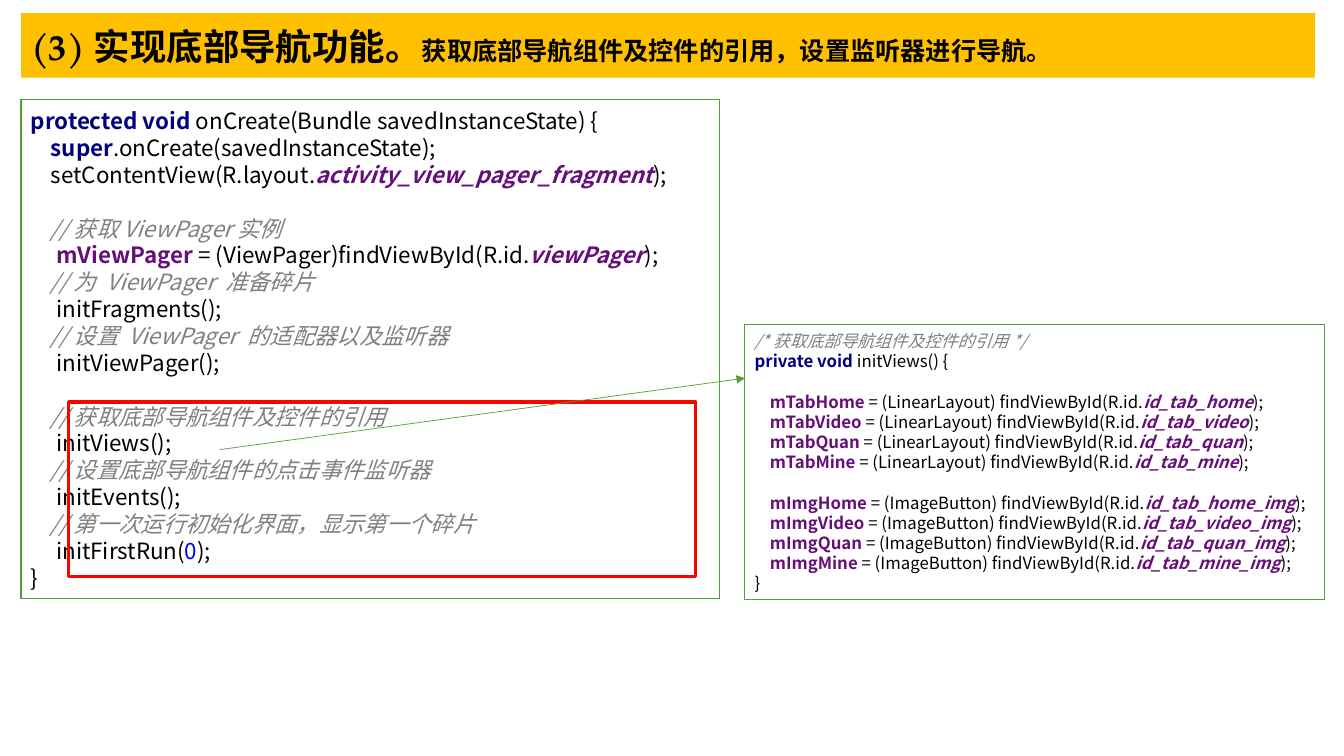
from dataclasses import dataclass
from typing import NamedTuple

from lxml import etree
from pptx import Presentation
from pptx.dml.color import RGBColor
from pptx.enum.shapes import MSO_CONNECTOR, MSO_SHAPE
from pptx.enum.text import MSO_ANCHOR, MSO_AUTO_SIZE, PP_ALIGN
from pptx.oxml.ns import qn
from pptx.util import Cm, Pt

RECT = MSO_SHAPE.RECTANGLE
STRAIGHT = MSO_CONNECTOR.STRAIGHT
MIDDLE = MSO_ANCHOR.MIDDLE
NO_FIT = MSO_AUTO_SIZE.NONE
LEFT = PP_ALIGN.LEFT

BLACK = RGBColor(0x00, 0x00, 0x00)
WHITE = RGBColor(0xFF, 0xFF, 0xFF)
AMBER = RGBColor(0xFF, 0xC0, 0x00)
GREEN = RGBColor(0x54, 0x9E, 0x39)
RED = RGBColor(0xFF, 0x00, 0x00)
NAVY = RGBColor(0x00, 0x00, 0x80)
BLUE = RGBColor(0x00, 0x00, 0xFF)
PURPLE = RGBColor(0x66, 0x0E, 0x7A)
GREY = RGBColor(0x80, 0x80, 0x80)

SANS = "Noto Sans CJK SC"
SERIF = "TeX Gyre Pagella"
PITCH = 1.2


class Style(NamedTuple):
    color: RGBColor
    bold: bool = False
    italic: bool = False


PLAIN = Style(BLACK)
HEAD = Style(BLACK, bold=True)
KEY = Style(NAVY, bold=True)
FIELD = Style(PURPLE, bold=True)
RES = Style(PURPLE, bold=True, italic=True)
NOTE = Style(GREY, italic=True)
NUM = Style(BLUE)


class Bit(NamedTuple):
    text: str
    style: Style = PLAIN


@dataclass
class Panel:
    left: float
    top: float
    width: float
    height: float
    size: float
    bits: list[Bit]


def add_bit(para, bit: Bit, size: float, face: str) -> None:
    """Add styled text, turning each newline into a line break."""
    for i, part in enumerate(bit.text.split("\n")):
        if i:
            para.add_line_break()
        if not part:
            continue
        run = para.add_run()
        run.text = part
        font = run.font
        font.name, font.size = face, Pt(size)
        font.bold, font.italic = bit.style.bold, bit.style.italic
        font.color.rgb = bit.style.color
        etree.SubElement(run._r.rPr, qn("a:ea"), typeface=SANS)


def add_box(slide, left: float, top: float, width: float, height: float,
            color: RGBColor, weight: float):
    box = slide.shapes.add_shape(RECT, Cm(left), Cm(top), Cm(width), Cm(height))
    box.shadow.inherit = False
    box.fill.background()
    box.line.color.rgb = color
    box.line.width = Pt(weight)
    return box


def add_panel(slide, panel: Panel) -> None:
    box = add_box(slide, panel.left, panel.top, panel.width, panel.height,
                  GREEN, 0.75)
    box.fill.solid()
    box.fill.fore_color.rgb = WHITE
    frame = box.text_frame
    frame.word_wrap = True
    frame.vertical_anchor = MIDDLE
    para = frame.paragraphs[0]
    para.alignment = LEFT
    para.line_spacing = Pt(panel.size * PITCH)
    for bit in panel.bits:
        add_bit(para, bit, panel.size, SANS)


def add_title(slide) -> None:
    title = slide.shapes.title
    title.left, title.top = Cm(0.53), Cm(0.33)
    title.width, title.height = Cm(32.61), Cm(1.63)
    title.fill.solid()
    title.fill.fore_color.rgb = AMBER
    frame = title.text_frame
    frame.auto_size = NO_FIT
    frame.word_wrap = True
    frame.vertical_anchor = MIDDLE
    para = frame.paragraphs[0]
    para.alignment = LEFT
    add_bit(para, Bit("(3)实现底部导航功能。", HEAD), 26, SERIF)
    add_bit(para, Bit("获取底部导航组件及控件的引用，设置监听器进行导航。", HEAD), 18, SERIF)


def add_arrow(slide) -> None:
    arrow = slide.shapes.add_connector(
        STRAIGHT, Cm(5.54), Cm(11.33), Cm(18.77), Cm(9.53))
    arrow.line.color.rgb = GREEN
    arrow.line.width = Pt(0.5)
    etree.SubElement(arrow.line._ln, qn("a:tailEnd"), type="triangle")
    etree.SubElement(arrow._element.spPr, qn("a:effectLst"))


def find_views(kind: str, cast: str, tail: str) -> list[Bit]:
    """Give the lines that look up one view for each tab."""
    bits = []
    for tab in ("Home", "Video", "Quan", "Mine"):
        bits += [
            Bit(f"\n    m{kind}{tab} ", FIELD),
            Bit(f"= ({cast}) findViewById(R.id."),
            Bit(f"id_tab_{tab.lower()}{tail}", RES),
            Bit(");"),
        ]
    return bits


CREATE = [
    Bit("protected void ", KEY),
    Bit("onCreate(Bundle savedInstanceState) {\n    "),
    Bit("super", KEY),
    Bit(".onCreate(savedInstanceState);\n    setContentView(R.layout."),
    Bit("activity_view_pager_fragment", RES),
    Bit(");\n\n    "),
    Bit("//获取ViewPager实例\n    ", NOTE),
    Bit("mViewPager ", FIELD),
    Bit("= (ViewPager)findViewById(R.id."),
    Bit("viewPager", RES),
    Bit(");\n    "),
    Bit("//为 ViewPager 准备碎片\n    ", NOTE),
    Bit("initFragments();\n    "),
    Bit("//设置 ViewPager 的适配器以及监听器\n    ", NOTE),
    Bit("initViewPager();\n\n    "),
    Bit("//获取底部导航组件及控件的引用\n    ", NOTE),
    Bit("initViews();\n    "),
    Bit("//设置底部导航组件的点击事件监听器\n    ", NOTE),
    Bit("initEvents();\n    "),
    Bit("//第一次运行初始化界面，显示第一个碎片\n    ", NOTE),
    Bit("initFirstRun("),
    Bit("0", NUM),
    Bit(");\n}"),
]

VIEWS = [
    Bit("/*获取底部导航组件及控件的引用*/\n", NOTE),
    Bit("private void ", KEY),
    Bit("initViews() {\n"),
    *find_views("Tab", "LinearLayout", ""),
    Bit("\n"),
    *find_views("Img", "ImageButton", "_img"),
    Bit("\n}"),
]


def main() -> None:
    deck = Presentation()
    deck.slide_width, deck.slide_height = Cm(33.87), Cm(19.05)
    slide = deck.slides.add_slide(deck.slide_layouts[5])
    add_title(slide)
    add_panel(slide, Panel(0.53, 2.51, 17.6, 12.57, 16, CREATE))
    add_box(slide, 1.73, 10.13, 15.8, 4.39, RED, 2.25)
    add_panel(slide, Panel(18.77, 8.18, 14.6, 6.93, 12, VIEWS))
    add_arrow(slide)
    deck.save("out.pptx")


if __name__ == "__main__":
    main()
